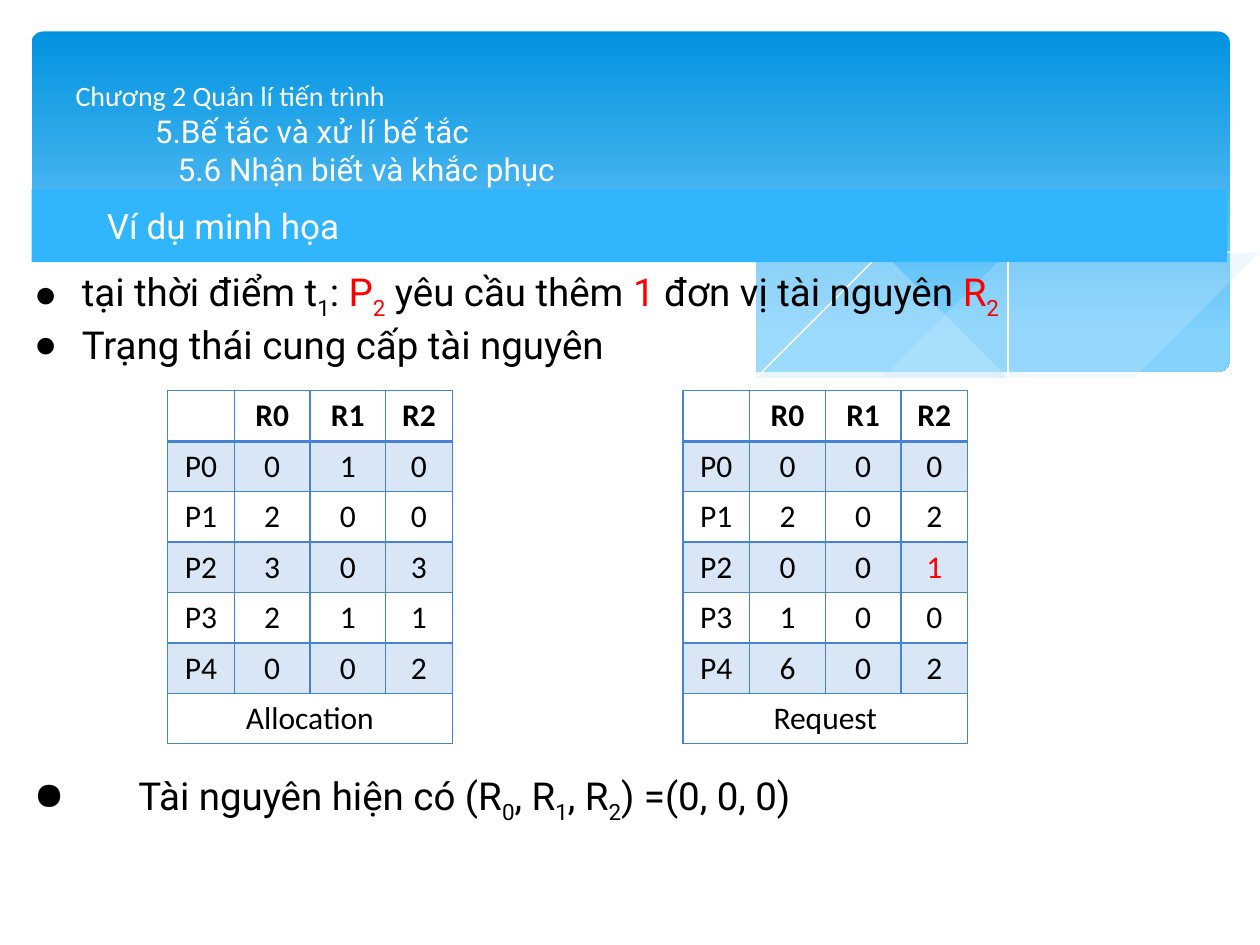
from lxml import etree
from pptx import Presentation
from pptx import util as u
from pptx.dml.color import RGBColor
from pptx.enum import shapes, text
from pptx.oxml.ns import qn

COLORS = {
    "white": "FFFFFF", "text": "000000", "accent": "FF0000",
    "header_top": "0293E0", "header_bottom": "83D3FE",
    "band": "31B6FD", "wave": "C6E7FC", "table": "4584D3",
}
BODY_FONT, TABLE_FONT = "Roboto", "Calibri"

# Wave outlines in inches
RIGHT_WAVE = [
    (9.75, 2), (9.48, 2.04), (9.21, 2.1), (8.91, 2.16), (8.61, 2.23), (8.05, 2.37),
    (7.53, 2.48), (7.06, 2.57), (6.61, 2.65), (6.91, 2.69), (7.18, 2.73), (7.45, 2.75),
    (7.69, 2.77), (8.03, 2.78), (8.35, 2.77), (8.63, 2.75), (8.89, 2.72), (9.13, 2.67),
    (9.35, 2.62), (9.49, 2.57), (9.76, 2.47), (9.76, 2)]
LONG_WAVE = [
    (8.93, 2.73), (8.66, 2.69), (8.07, 2.6), (7.41, 2.48), (6.68, 2.31), (6.13, 2.18),
    (5.69, 2.08), (5.27, 2), (4.89, 1.94), (4.41, 1.89), (3.99, 1.86), (3.61, 1.86),
    (3.28, 1.87), (2.86, 1.91), (3.23, 1.96), (3.62, 2.03), (4.04, 2.11), (4.49, 2.22),
    (5.3, 2.4), (5.84, 2.52), (6.34, 2.61), (6.8, 2.68), (7.22, 2.74), (7.61, 2.77),
    (7.96, 2.79), (8.28, 2.78), (8.57, 2.77)]
FALLING_LINE = [
    (3.09, 1.95), (3.28, 1.92), (3.53, 1.89), (3.87, 1.87), (4.33, 1.87), (4.89, 1.9),
    (5.32, 1.94), (5.82, 2), (6.36, 2.08), (6.95, 2.19), (7.6, 2.33), (8.31, 2.51),
    (9.07, 2.72)]
RISING_LINE = [
    (6.13, 2.57), (6.52, 2.46), (6.95, 2.35), (7.48, 2.23), (8.06, 2.1), (8.66, 1.99),
    (9.1, 1.92), (9.51, 1.87), (9.75, 1.85)]
PAGE_EDGE = [
    (9.77, 2.46), (9.5, 2.56), (9.2, 2.65), (8.87, 2.71), (8.5, 2.75), (8.09, 2.77),
    (7.61, 2.75), (7.08, 2.7), (6.47, 2.62), (5.79, 2.5), (5.03, 2.33), (4.18, 2.13),
    (3.65, 2.02), (3.15, 1.94), (2.71, 1.88), (2.3, 1.85), (1.93, 1.84), (1.61, 1.84),
    (1.32, 1.86), (1.06, 1.89), (0.85, 1.93), (0.67, 1.97), (0.46, 2.03), (0.23, 2.13),
    (0.23, 3.29), (9.77, 3.29)]

ALLOCATION = [(0, 1, 0), (2, 0, 0), (3, 0, 3), (2, 1, 1), (0, 0, 2)]
REQUEST = [(0, 0, 0), (2, 0, 2), (0, 0, 1), (1, 0, 0), (6, 0, 2)]


def rgb(name):
    return RGBColor.from_string(COLORS[name])


def paint(fill, color):
    fill.solid()
    fill.fore_color.rgb = rgb(color)


def set_alpha(properties, percent):
    color = properties.find(f"{qn('a:solidFill')}/{qn('a:srgbClr')}")
    etree.SubElement(color, qn("a:alpha")).set("val", str(percent * 1000))


def place(box, left, top, width, height):
    box.left, box.top = u.Inches(left), u.Inches(top)
    box.width, box.height = u.Inches(width), u.Inches(height)


def add_run(paragraph, words, size, font=BODY_FONT, color="text", sub=False, bold=False):
    run = paragraph.add_run()
    run.text = words
    run.font.size, run.font.name, run.font.bold = u.Pt(size), font, bold
    run.font.color.rgb = rgb(color)
    if sub:
        run.font._element.set("baseline", "-25000")


def set_indent(paragraph, left, first=0):
    properties = paragraph._p.get_or_add_pPr()
    properties.set("marL", str(u.Inches(left)))
    properties.set("indent", str(u.Inches(first)))


def next_paragraph(frame, index):
    return frame.add_paragraph() if index else frame.paragraphs[0]


def add_block(slide, kind, left, top, width, height):
    block = slide.shapes.add_shape(kind, *map(u.Inches, (left, top, width, height)))
    block.shadow.inherit = False
    block.line.fill.background()
    return block


def add_curve(slide, points, fill=None, alpha=None):
    """A filled wave, or a white hairline when no fill is given."""
    builder = slide.shapes.build_freeform(*points[0], scale=u.Inches(1))
    builder.add_line_segments(points[1:], close=fill is not None)
    curve = builder.convert_to_shape()
    curve.shadow.inherit = False
    if fill is None:
        curve.fill.background()
        curve.line.color.rgb = rgb("white")
        curve.line.width = 0
        return
    paint(curve.fill, fill)
    curve.line.fill.background()
    if alpha:
        set_alpha(curve._element.spPr, alpha)


def add_background(slide):
    header = add_block(slide, shapes.MSO_SHAPE.ROUNDED_RECTANGLE, 0.25, 0.25, 9.51, 2.7)
    header.adjustments[0] = 0.034
    header.fill.gradient()
    header.fill.gradient_angle = 270
    stops = zip(header.fill.gradient_stops, ("header_top", "header_bottom"), (0, 0.9))
    for stop, color, position in stops:
        stop.color.rgb = rgb(color)
        stop.position = position
    add_curve(slide, RIGHT_WAVE, "wave", 29)
    add_curve(slide, LONG_WAVE, "wave", 40)
    add_curve(slide, FALLING_LINE)
    add_curve(slide, RISING_LINE)
    add_curve(slide, PAGE_EDGE, "white")


def fill_title(title):
    place(title, 0.5, 0.37, 9, 1.37)
    frame = title.text_frame
    frame.auto_size = text.MSO_AUTO_SIZE.NONE
    frame.vertical_anchor = text.MSO_ANCHOR.MIDDLE
    lines = [
        ("Chương 2 Quản lí tiến trình", 16, TABLE_FONT, 0),
        ("5.Bế tắc và xử lí bế tắc", 18, BODY_FONT, 0.63),
        ("5.6 Nhận biết và khắc phục", 18, BODY_FONT, 0.81),
    ]
    for index, (words, size, font, left) in enumerate(lines):
        line = next_paragraph(frame, index)
        line.alignment = text.PP_ALIGN.LEFT
        set_indent(line, left)
        add_run(line, words, size, font, "white")


def add_band(slide):
    band = add_block(slide, shapes.MSO_SHAPE.RECTANGLE, 0.25, 1.5, 9.49, 0.58)
    paint(band.fill, "band")
    band.text_frame.vertical_anchor = text.MSO_ANCHOR.MIDDLE
    heading = band.text_frame.paragraphs[0]
    heading.alignment = text.PP_ALIGN.LEFT
    set_indent(heading, 0.5)
    add_run(heading, "Ví dụ minh họa", 20, color="white")


def fill_bullets(box, items, indent):
    """Each item is a list of (words, colour, subscript) runs."""
    frame = box.text_frame
    frame.word_wrap = True
    frame.auto_size = text.MSO_AUTO_SIZE.SHAPE_TO_FIT_TEXT
    for index, runs in enumerate(items):
        bullet = next_paragraph(frame, index)
        set_indent(bullet, indent, -indent)
        mark = etree.SubElement(bullet._p.get_or_add_pPr(), qn("a:buChar"))
        mark.set("char", "●")
        bullet.space_before = u.Pt(0)
        for words, color, sub in runs:
            add_run(bullet, words, 22, color=color, sub=sub)


def set_border(cell, side, points):
    border = etree.SubElement(cell._tc.get_or_add_tcPr(), qn(f"a:ln{side}"), w=str(u.Pt(points)))
    solid = etree.SubElement(border, qn("a:solidFill"))
    etree.SubElement(solid, qn("a:srgbClr"), val=COLORS["table"])


def add_matrix(slide, left, caption, values, accent=None):
    rows = [("", "R0", "R1", "R2")]
    rows += [(f"P{number}", *row) for number, row in enumerate(values)]
    rows.append((caption, "", "", ""))
    last = len(rows) - 1
    area = map(u.Inches, (left, 3.1, 2.25, 2.8))
    matrix = slide.shapes.add_table(len(rows), 4, *area).table
    matrix.first_row = matrix.horz_banding = False
    for column, width in zip(matrix.columns, (0.53, 0.6, 0.6, 0.53)):
        column.width = u.Inches(width)
    for r, row in enumerate(rows):
        matrix.rows[r].height = u.Inches(0.4)
        for c, value in enumerate(row):
            cell = matrix.cell(r, c)
            for side in "LRTB":
                set_border(cell, side, 2 if (r, side) in ((0, "B"), (1, "T")) else 1)
            if r % 2 and r < last:
                paint(cell.fill, "table")
                set_alpha(cell._tc.tcPr, 20)
            else:
                cell.fill.background()
            if value != "":
                entry = cell.text_frame.paragraphs[0]
                entry.alignment = text.PP_ALIGN.CENTER
                color = "accent" if (r, c) == accent else "text"
                add_run(entry, str(value), 18, TABLE_FONT, color, bold=r == 0)
    matrix.cell(last, 0).merge(matrix.cell(last, 3))


def main():
    deck = Presentation()
    deck.slide_width, deck.slide_height = u.Inches(10), u.Inches(7.5)
    slide = deck.slides.add_slide(deck.slide_layouts[1])
    title, state = slide.placeholders

    # Background, then the title and band over it
    add_background(slide)
    slide.shapes._spTree.append(title._element)
    fill_title(title)
    add_band(slide)

    # State at time t1
    slide.shapes._spTree.append(state._element)
    place(state, 0.17, 2.08, 9.57, 0.84)
    fill_bullets(state, [
        [("tại thời điểm t", "text", False), ("1", "text", True), (": ", "text", False),
         ("P", "accent", False), ("2", "accent", True), (" yêu cầu thêm ", "text", False),
         ("1 ", "accent", False), ("đơn vị tài nguyên ", "text", False),
         ("R", "accent", False), ("2", "accent", True)],
        [("Trạng thái cung cấp tài nguyên", "text", False)],
    ], 0.38)

    # Resource matrices
    add_matrix(slide, 5.42, "Request", REQUEST, accent=(3, 3))
    add_matrix(slide, 1.33, "Allocation", ALLOCATION)

    # Available resources
    available = slide.shapes.add_textbox(*map(u.Inches, (0.17, 6.08, 9.17, 0.47)))
    parts = ["Tài nguyên hiện có (R", "0", ", R", "1", ", R", "2", ") =(0, 0, 0)"]
    fill_bullets(available, [[(part, "text", part.isdigit()) for part in parts]], 0.83)

    deck.save("out.pptx")


if __name__ == "__main__":
    main()
